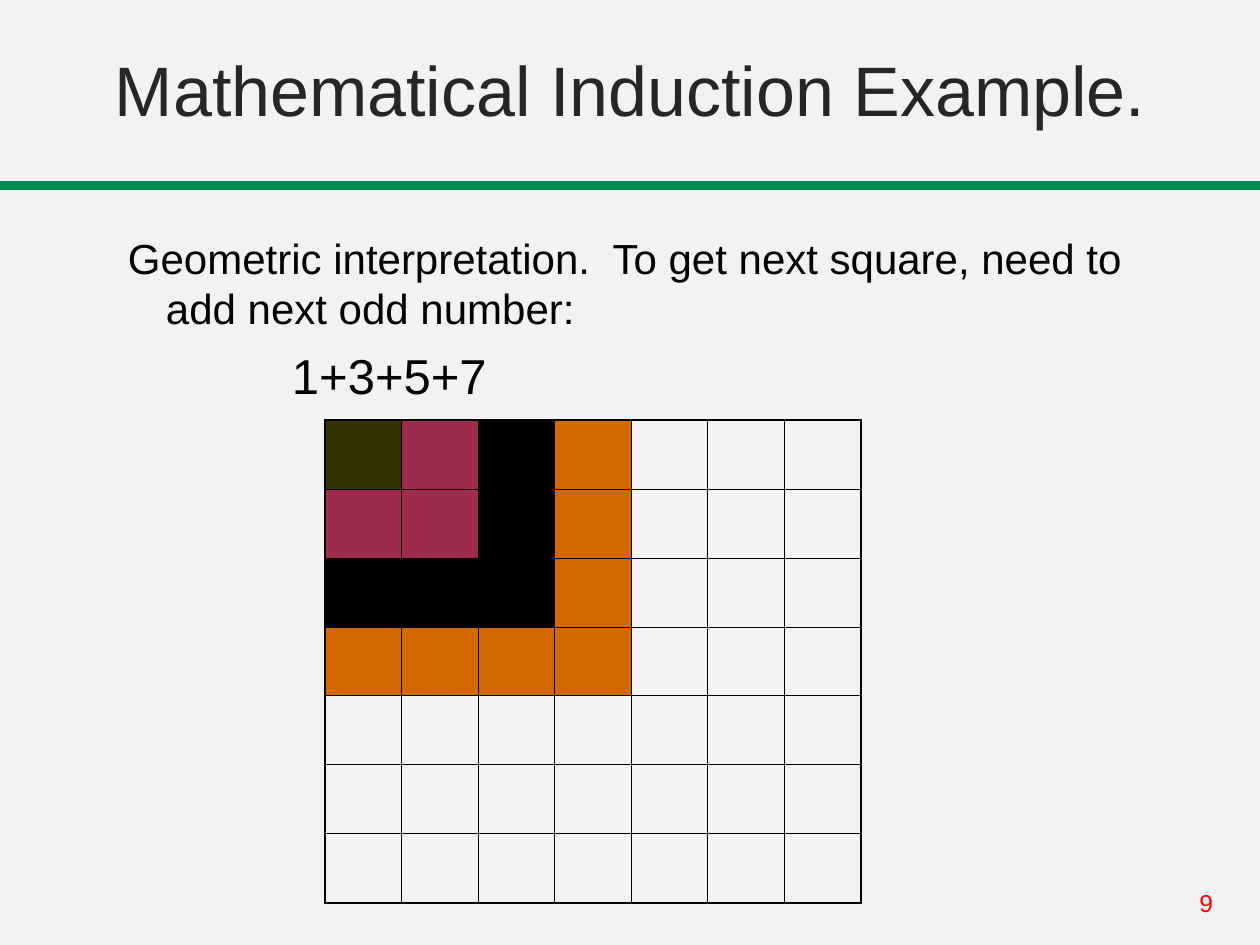
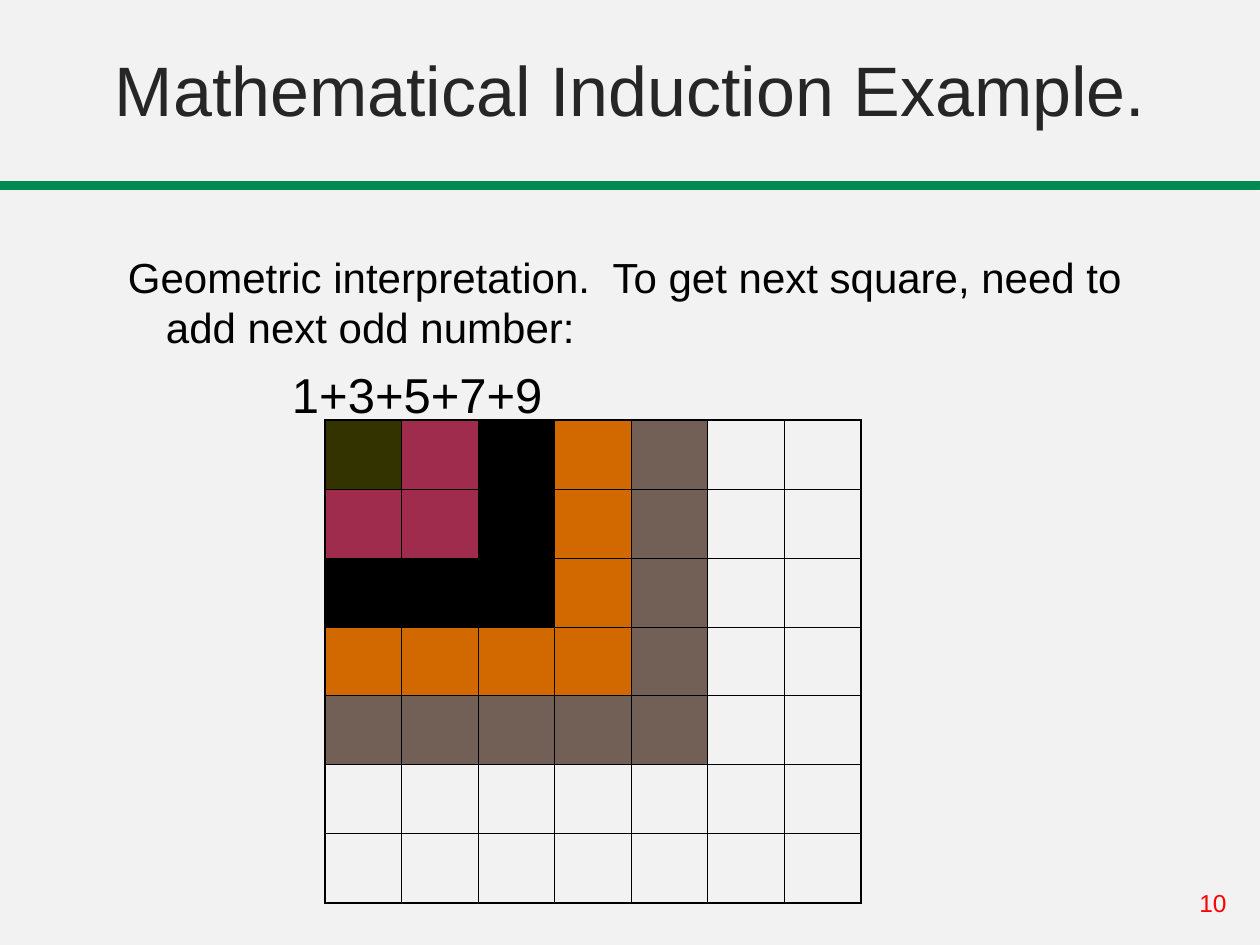
from lxml import etree
from pptx import Presentation
from pptx.dml.color import RGBColor
from pptx.enum.shapes import MSO_SHAPE
from pptx.enum.text import MSO_ANCHOR, PP_ALIGN
from pptx.oxml.ns import qn
from pptx.util import Pt

RECT = MSO_SHAPE.RECTANGLE
TOP, BOTTOM = MSO_ANCHOR.TOP, MSO_ANCHOR.BOTTOM
LEFT, CENTER = PP_ALIGN.LEFT, PP_ALIGN.CENTER

EMU_PER_PX = 914400 / 126
FONT = "Arial"
COLORS = {
    "background": "F2F2F2",
    "band": "018952",
    "title": "262626",
    "text": "000000",
    "number": "FF0000",
    "border": "000000",
}
LAYER_COLORS = ["333300", "A02C4D", "000000", "D26900", "726056"]
GRID_SIZE = 7
THIN, THICK = 0.45, 1.08

TITLE = "Mathematical Induction Example."
STATEMENT = "Geometric interpretation.  To get next square, need to add next odd number:"


def px(n):
    return round(n * EMU_PER_PX)


def rgb(value):
    return RGBColor.from_string(value)


def style_paragraph(p, size, color, align=LEFT):
    p.alignment = align
    for r in p.runs:
        r.font.name = FONT
        r.font.size = Pt(size)
        r.font.color.rgb = rgb(COLORS[color])


def indent(p, left, first=0):
    pPr = p._p.get_or_add_pPr()
    pPr.set("marL", str(px(left)))
    pPr.set("indent", str(px(first)))


def add_text_frame(s, x, y, w, h, anchor=TOP):
    tf = s.shapes.add_textbox(px(x), px(y), px(w), px(h)).text_frame
    tf.word_wrap = True
    tf.vertical_anchor = anchor
    return tf


def add_base(prs, number):
    s = prs.slides.add_slide(prs.slide_layouts[6])
    s.background.fill.solid()
    s.background.fill.fore_color.rgb = rgb(COLORS["background"])

    band = s.shapes.add_shape(RECT, 0, px(183), prs.slide_width, px(6))
    band.shadow.inherit = False
    band.fill.solid()
    band.fill.fore_color.rgb = rgb(COLORS["band"])
    band.line.color.rgb = rgb(COLORS["band"])
    band.line.width = Pt(1.75)

    tf = add_text_frame(s, 1187, 882, 73, 43)
    tf.text = str(number)
    style_paragraph(tf.paragraphs[0], 14, "number")

    tf = add_text_frame(s, 0, 0, 1260, 137, BOTTOM)
    tf.text = TITLE
    style_paragraph(tf.paragraphs[0], 40, "title", CENTER)
    return s


def add_statement(s, y, layers):
    tf = add_text_frame(s, 128, y, 1015, 168)
    tf.margin_left = tf.margin_right = tf.margin_top = tf.margin_bottom = 0
    tf.text = STATEMENT
    p = tf.paragraphs[0]
    indent(p, 38, -38)
    style_paragraph(p, 24, "text")

    p = tf.add_paragraph()
    p.text = "+".join(str(2 * i + 1) for i in range(layers))
    indent(p, 164)
    p.space_before = Pt(7)
    style_paragraph(p, 28, "text")


def set_borders(cell, row, col):
    last = GRID_SIZE - 1
    outer = {"a:lnL": col == 0, "a:lnR": col == last,
             "a:lnT": row == 0, "a:lnB": row == last}
    tcPr = cell._tc.get_or_add_tcPr()
    for i, (tag, is_outer) in enumerate(outer.items()):
        ln = etree.Element(qn(tag), w=str(Pt(THICK if is_outer else THIN)))
        fill = etree.SubElement(ln, qn("a:solidFill"))
        etree.SubElement(fill, qn("a:srgbClr"), val=COLORS["border"])
        tcPr.insert(i, ln)


def add_square_grid(s, layers):
    table = s.shapes.add_table(GRID_SIZE, GRID_SIZE, px(325), px(420),
                               px(536), px(483)).table
    table.first_row = False
    table.horz_banding = False
    for row in range(GRID_SIZE):
        for col in range(GRID_SIZE):
            cell = table.cell(row, col)
            layer = max(row, col)
            if layer < layers:
                cell.fill.solid()
                cell.fill.fore_color.rgb = rgb(LAYER_COLORS[layer])
            else:
                cell.fill.background()
            set_borders(cell, row, col)


def main():
    prs = Presentation()
    prs.slide_width, prs.slide_height = px(1260), px(945)
    for number, layers, statement_top in [(9, 4, 232), (10, 5, 251)]:
        s = add_base(prs, number)
        add_statement(s, statement_top, layers)
        add_square_grid(s, layers)
    prs.save("out.pptx")


if __name__ == "__main__":
    main()
